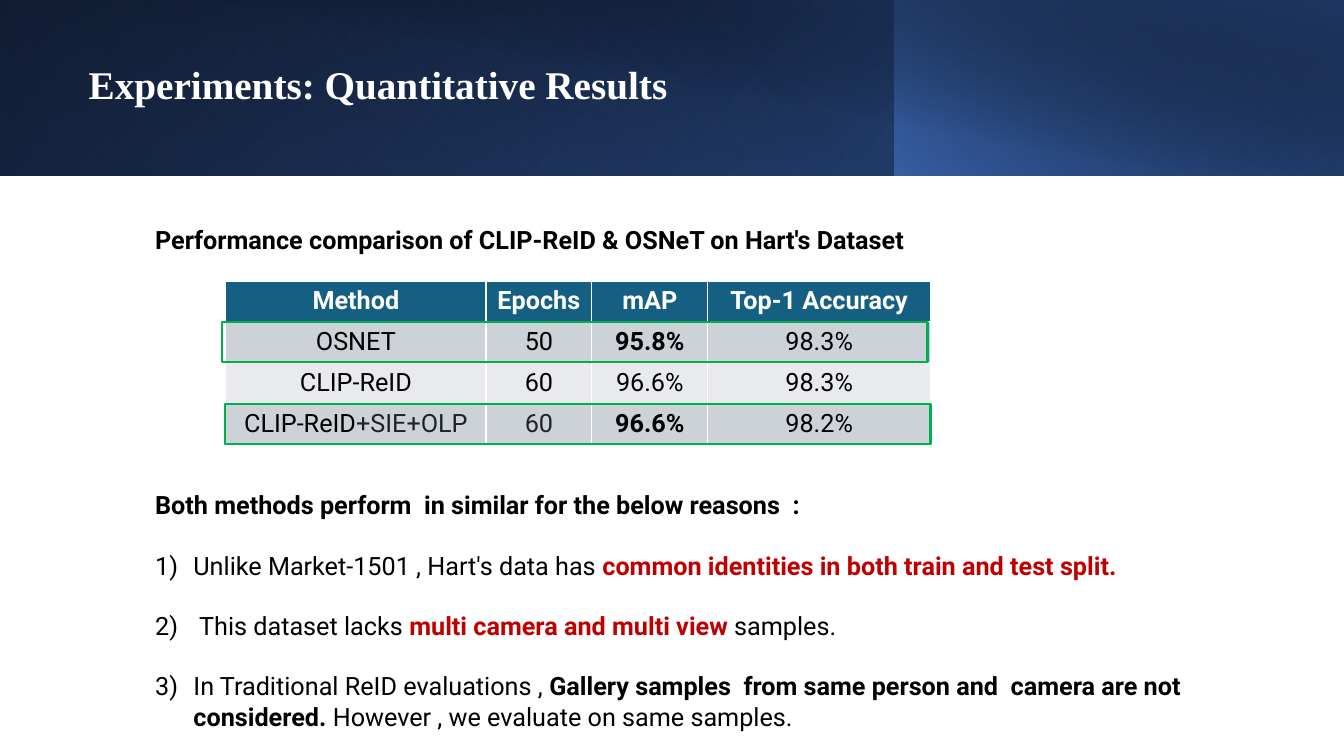
from dataclasses import dataclass
from lxml.etree import SubElement
from pptx import Presentation
from pptx.dml.color import RGBColor
from pptx.enum.shapes import MSO_SHAPE
from pptx.enum.text import MSO_ANCHOR, MSO_AUTO_SIZE, PP_ALIGN
from pptx.oxml.ns import qn
from pptx.util import Inches, Pt


@dataclass(frozen=True)
class Theme:
    head: str = "Times New Roman"
    body: str = "Roboto"
    big: int = 28
    size: int = 18
    gap: float = 21.5
    white: str = "FFFFFF"
    black: str = "000000"
    gray: str = "1F2328"
    red: str = "C00000"
    green: str = "00B050"
    teal: str = "156082"
    dark: str = "CCD2D8"
    light: str = "E8EAED"
    navy: str = "1F3864"
    blue: str = "4472C4"
    deep: str = "2F5496"


T = Theme()
WIDE, HIGH = 13.33, 7.5
BAND = 1.74
SPLIT = 8.87

TITLE = "Experiments: Quantitative Results"
LEAD = "Performance comparison of CLIP-ReID & OSNeT on Hart's Dataset"
HEADS = ["Method", "Epochs", "mAP", "Top-1 Accuracy"]
# Each text is a list of runs: (words, bold, colour)
ROWS = [
    [[("OSNET", False, T.black)], [("50", False, T.black)],
     [("95.8%", True, T.black)], [("98.3%", False, T.black)]],
    [[("CLIP-ReID", False, T.black)], [("60", False, T.black)],
     [("96.6%", False, T.black)], [("98.3%", False, T.black)]],
    [[("CLIP-ReID", False, T.black), ("+SIE+OLP", False, T.gray)],
     [("60", False, T.gray)], [("96.6%", True, T.black)],
     [("98.2%", False, T.black)]],
]
CAUSE = "Both methods perform  in similar for the below reasons  :"
REASONS = [
    [("Unlike Market-1501 , Hart's data has ", False, T.black),
     ("common identities in both train and test split.", True, T.red)],
    [(" This dataset lacks ", False, T.black),
     ("multi camera and multi view", True, T.red),
     (" samples.", False, T.black)],
    [("In Traditional ReID evaluations , ", False, T.black),
     ("Gallery samples  from same person and  camera are not considered.",
      True, T.black),
     (" However , we evaluate on same samples.", False, T.black)],
]
# Box, flipped, turn, angle, stops (place, colour, opacity in percent)
BANDS = [
    ((0, 0, WIDE, BAND), True, 0, 140,
     [(0, T.black, 100), (100, T.deep, 100)]),
    ((0, 0, SPLIT, BAND), True, 180, 230,
     [(0, T.blue, 0), (20, T.blue, 0), (100, T.navy, 54)]),
    ((SPLIT, 0, WIDE - SPLIT, BAND), True, 0, 220,
     [(0, T.blue, 65), (100, T.black, 29)]),
    ((0.5, 0, WIDE - 0.5, BAND), False, 0, 280,
     [(0, T.black, 0), (50, T.black, 0), (99, T.navy, 51),
      (100, T.navy, 51)]),
]
LEFT = 1.44
GRID = (2.24, 2.79)
COLS = [2.58, 1.05, 1.15, 2.21]
ROW = 0.405
MARKS = [(1, -0.04), (3, -0.01)]  # table row, shift from the table's left


def rgb(code):
    return RGBColor.from_string(code)


def inch(box):
    return [Inches(n) for n in box]


def write(para, runs, font=T.body, size=T.size):
    for words, bold, color in runs:
        run = para.add_run()
        run.text = words
        run.font.name = font
        run.font.size = Pt(size)
        run.font.bold = bold
        run.font.color.rgb = rgb(color)


def rect(slide, box):
    shape = slide.shapes.add_shape(MSO_SHAPE.RECTANGLE, *inch(box))
    shape.shadow.inherit = False
    return shape


def shade(shape, angle, stops):
    """Fill with a gradient whose stops have their own opacity."""
    shape.fill.gradient()
    grad = shape._element.spPr.find(qn("a:gradFill"))
    for part in list(grad):
        grad.remove(part)
    group = SubElement(grad, qn("a:gsLst"))
    for place, color, alpha in stops:
        stop = SubElement(group, qn("a:gs"), pos=str(place * 1000))
        tint = SubElement(stop, qn("a:srgbClr"), val=color)
        if alpha < 100:
            SubElement(tint, qn("a:alpha"), val=str(alpha * 1000))
    SubElement(grad, qn("a:lin"), ang=str(angle * 60000), scaled="0")


def number(para):
    props = para._p.get_or_add_pPr()
    props.set("marL", str(Inches(0.38)))
    props.set("indent", str(-Inches(0.38)))
    SubElement(props, qn("a:buFont"), typeface=T.body)
    SubElement(props, qn("a:buAutoNum"), type="arabicParenR")


def note(slide, box):
    frame = slide.shapes.add_textbox(*inch(box)).text_frame
    frame.word_wrap = True
    return frame


def banner(slide):
    for box, flip, turn, angle, stops in BANDS:
        band = rect(slide, box)
        band.line.fill.background()
        band.rotation = turn
        if flip:
            band._element.spPr.xfrm.set("flipH", "1")
        shade(band, angle, stops)
    title = slide.shapes.title
    slide.shapes._spTree.append(title._element)  # in front of the bands
    title.left, title.top, title.width, title.height = inch(
        (0.78, 0.43, 11.29, 0.87))
    frame = title.text_frame
    frame.auto_size = MSO_AUTO_SIZE.NONE
    frame.vertical_anchor = MSO_ANCHOR.MIDDLE
    para = frame.paragraphs[0]
    para.alignment = PP_ALIGN.LEFT
    para.line_spacing = 0.9
    write(para, [(TITLE, True, T.white)], T.head, T.big)


def scores(slide):
    heads = [[(word, True, T.white)] for word in HEADS]
    lines = [heads] + ROWS
    table = slide.shapes.add_table(
        len(lines), len(COLS),
        *inch((*GRID, sum(COLS), ROW * len(lines)))).table
    for col, width in zip(table.columns, COLS):
        col.width = Inches(width)
    for i, line in enumerate(lines):
        table.rows[i].height = Inches(ROW)
        fill = T.teal if i == 0 else T.dark if i % 2 else T.light
        for j, runs in enumerate(line):
            cell = table.cell(i, j)
            cell.fill.solid()
            cell.fill.fore_color.rgb = rgb(fill)
            para = cell.text_frame.paragraphs[0]
            para.alignment = PP_ALIGN.CENTER
            write(para, runs)


def marks(slide):
    for row, shift in MARKS:
        box = rect(slide, (GRID[0] + shift, GRID[1] + row * ROW, 7, 0.4))
        box.fill.background()
        box.line.color.rgb = rgb(T.green)
        box.line.width = Pt(1.5)


def main():
    deck = Presentation()
    deck.slide_width, deck.slide_height = inch((WIDE, HIGH))
    slide = deck.slides.add_slide(deck.slide_layouts[5])
    banner(slide)
    scores(slide)
    lead = note(slide, (LEFT, 2.18, 9.5, 0.4))
    write(lead.paragraphs[0], [(LEAD, True, T.black)])
    body = note(slide, (LEFT, 4.81, 11.18, 2.52))
    write(body.paragraphs[0], [(CAUSE, True, T.black)])
    for runs in REASONS:
        para = body.add_paragraph()
        para.space_before = Pt(T.gap)
        number(para)
        write(para, runs)
    marks(slide)
    deck.save("out.pptx")


if __name__ == "__main__":
    main()
